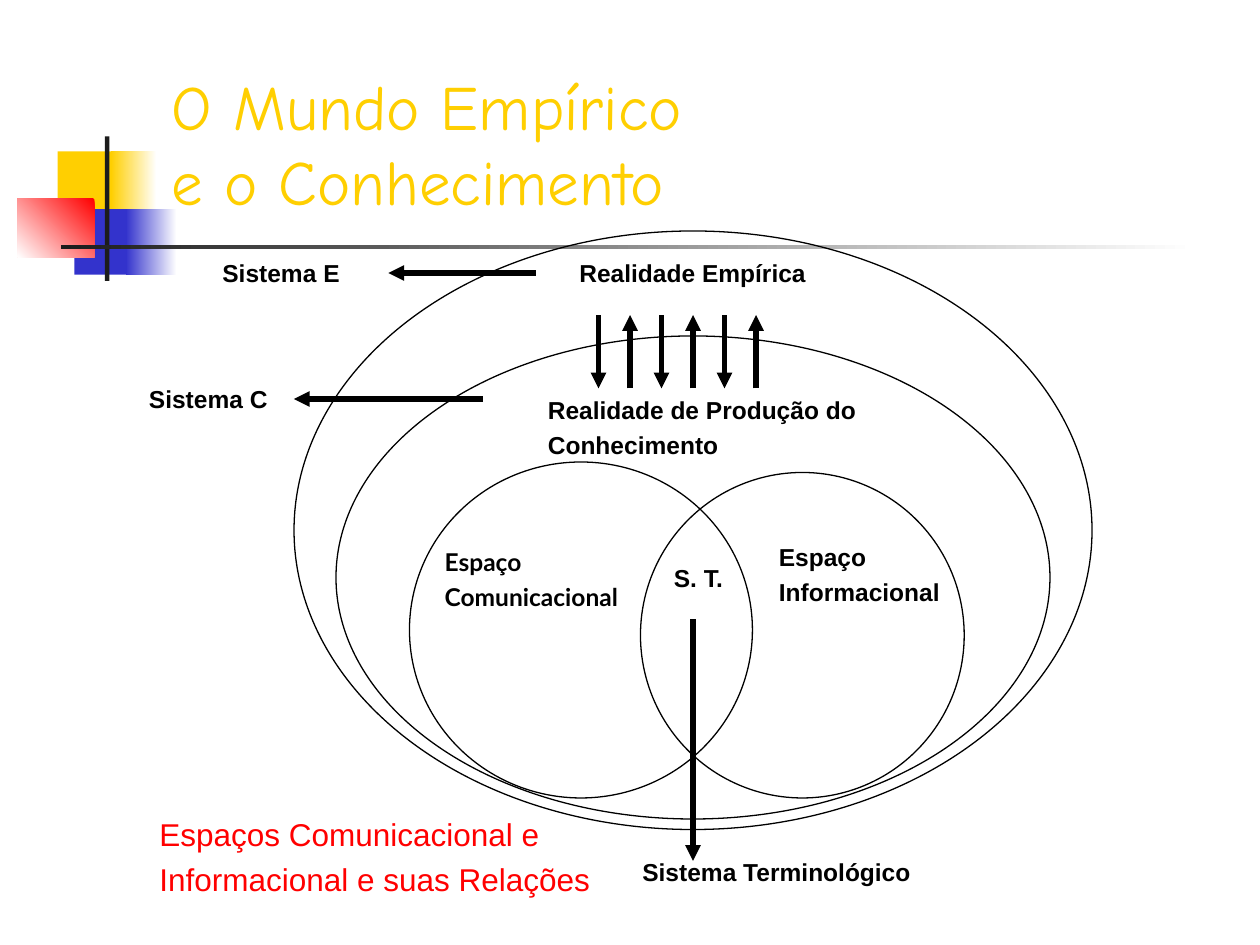
from dataclasses import dataclass

from lxml import etree
from pptx import Presentation
from pptx.dml.color import RGBColor
from pptx.enum import shapes, text
from pptx.oxml import ns
from pptx.util import Pt


@dataclass(frozen=True)
class Theme:
    yellow: str = "FFCF01"
    blue: str = "3333CC"
    red: str = "FF0000"
    dark: str = "1C1C1C"
    black: str = "000000"
    white: str = "FFFFFF"
    title_font: str = "Comic Neue"
    font: str = "Arial"
    alternate_font: str = "Lato"
    title_size: float = 36
    caption_size: float = 18
    label_size: float = 14
    outline: float = 0.75
    arrow: float = 3


THEME = Theme()
HANGING = 27


def rgb(value):
    return RGBColor.from_string(value)


def add_run(paragraph, words, size, font, color, bold=False):
    run = paragraph.add_run()
    run.text = words
    run.font.size, run.font.name, run.font.bold = Pt(size), font, bold
    run.font.color.rgb = rgb(color)


def add_title(slide, lines):
    title = slide.shapes.title
    title.left, title.top, title.width, title.height = Pt(91), Pt(34.5), Pt(613), Pt(94)
    title.text_frame.vertical_anchor = text.MSO_ANCHOR.MIDDLE
    title.text_frame.auto_size = text.MSO_AUTO_SIZE.NONE
    paragraph = title.text_frame.paragraphs[0]
    paragraph.alignment = text.PP_ALIGN.LEFT
    for index, line in enumerate(lines):
        if index:
            paragraph.add_line_break()
        add_run(paragraph, line, THEME.title_size, THEME.title_font, THEME.yellow)


def add_block(slide, box, colors, angle=0):
    """Add a borderless rectangle, solid for one colour and graded for two."""
    block = slide.shapes.add_shape(shapes.MSO_SHAPE.RECTANGLE, *map(Pt, box))
    block.shadow.inherit = False
    block.line.fill.background()
    if len(colors) == 1:
        block.fill.solid()
        block.fill.fore_color.rgb = rgb(colors[0])
        return
    block.fill.gradient()
    block.fill.gradient_angle = angle
    for position, (stop, color) in enumerate(zip(block.fill.gradient_stops, colors)):
        stop.position = position
        stop.color.rgb = rgb(color)


def add_ellipse(slide, box):
    ellipse = slide.shapes.add_shape(shapes.MSO_SHAPE.OVAL, *map(Pt, box))
    ellipse.shadow.inherit = False
    ellipse.fill.background()
    ellipse.line.color.rgb = rgb(THEME.black)
    ellipse.line.width = Pt(THEME.outline)


def add_label(slide, box, lines, size=THEME.label_size, font=THEME.font,
              color=THEME.black, bold=True):
    label = slide.shapes.add_textbox(*map(Pt, box))
    frame = label.text_frame
    frame.word_wrap = True
    for index, line in enumerate(lines):
        paragraph = frame.add_paragraph() if index else frame.paragraphs[0]
        paragraph.space_before = Pt(size / 4)
        properties = paragraph._p.get_or_add_pPr()
        properties.set("marL", str(Pt(HANGING)))
        properties.set("indent", str(-Pt(HANGING)))
        add_run(paragraph, line, size, font, color, bold)
    return label


def add_arrow(slide, start, end, target=None, side=3):
    arrow = slide.shapes.add_connector(
        shapes.MSO_CONNECTOR.STRAIGHT, *map(Pt, (*start, *end)))
    arrow.line.color.rgb = rgb(THEME.black)
    arrow.line.width = Pt(THEME.arrow)
    etree.SubElement(arrow.line._get_or_add_ln(), ns.qn("a:tailEnd"), type="triangle")
    etree.SubElement(arrow._element.spPr, ns.qn("a:effectLst"))
    if target is not None:
        arrow.end_connect(target, side)


def add_decoration(slide):
    add_block(slide, (33, 86.5, 35, 37.5), [THEME.yellow])
    add_block(slide, (63.5, 86.5, 26, 37.5), [THEME.white, THEME.yellow], 180)
    add_block(slide, (42.5, 119.5, 33, 37.5), [THEME.blue])
    add_block(slide, (72, 119.5, 29, 37.5), [THEME.white, THEME.blue], 180)
    add_block(slide, (10, 113.5, 44, 33.5), [THEME.red, THEME.white], 225)
    add_block(slide, (60, 78, 2.5, 82.5), [THEME.dark])
    add_block(slide, (35, 140, 648, 2.5), [THEME.white, THEME.dark], 180)


def main():
    presentation = Presentation()
    presentation.slide_width, presentation.slide_height = Pt(720), Pt(540)
    slide = presentation.slides.add_slide(presentation.slide_layouts[5])

    # Title and corner ornament
    add_decoration(slide)
    add_title(slide, ["O Mundo Empírico ", "e o Conhecimento"])

    # Nested systems, then the two overlapping spaces
    for box in [(168, 132, 456, 342), (192, 192, 408, 276),
                (234, 264, 196, 192), (366, 270, 185, 186)]:
        add_ellipse(slide, box)

    # Labels inside the ellipses
    add_label(slide, (324, 144, 150, 36), ["Realidade Empírica"])
    add_label(slide, (306, 222, 210, 54), ["Realidade de Produção do", "Conhecimento"])
    add_label(slide, (247, 309, 138, 54), ["Espaço", "Comunicacional"],
              font=THEME.alternate_font)
    add_label(slide, (438, 306, 138, 54), ["Espaço", "Informacional"])
    add_label(slide, (378, 318, 60, 30), ["S. T."])

    # Labels outside the ellipses
    add_label(slide, (120, 144, 90, 24), ["Sistema E"])
    system_c = add_label(slide, (78, 216, 90, 24), ["Sistema C"])
    add_label(slide, (360, 486, 255, 24), ["Sistema Terminológico"])
    add_label(slide, (84, 462, 270, 66),
              ["Espaços Comunicacional e", "Informacional e suas Relações"],
              size=THEME.caption_size, color=THEME.red, bold=False)

    # Exchange between the two realities: alternating down and up
    top, bottom = 180, 222
    for index in range(6):
        x = 342 + 18 * index
        start, end = (bottom, top) if index % 2 else (top, bottom)
        add_arrow(slide, (x, start), (x, end))

    # Arrows to the system names
    add_arrow(slide, (306, 156), (222, 156))
    add_arrow(slide, (276, 228), (168, 228), system_c)
    add_arrow(slide, (396, 354), (396, 492))

    presentation.save("out.pptx")


if __name__ == "__main__":
    main()
